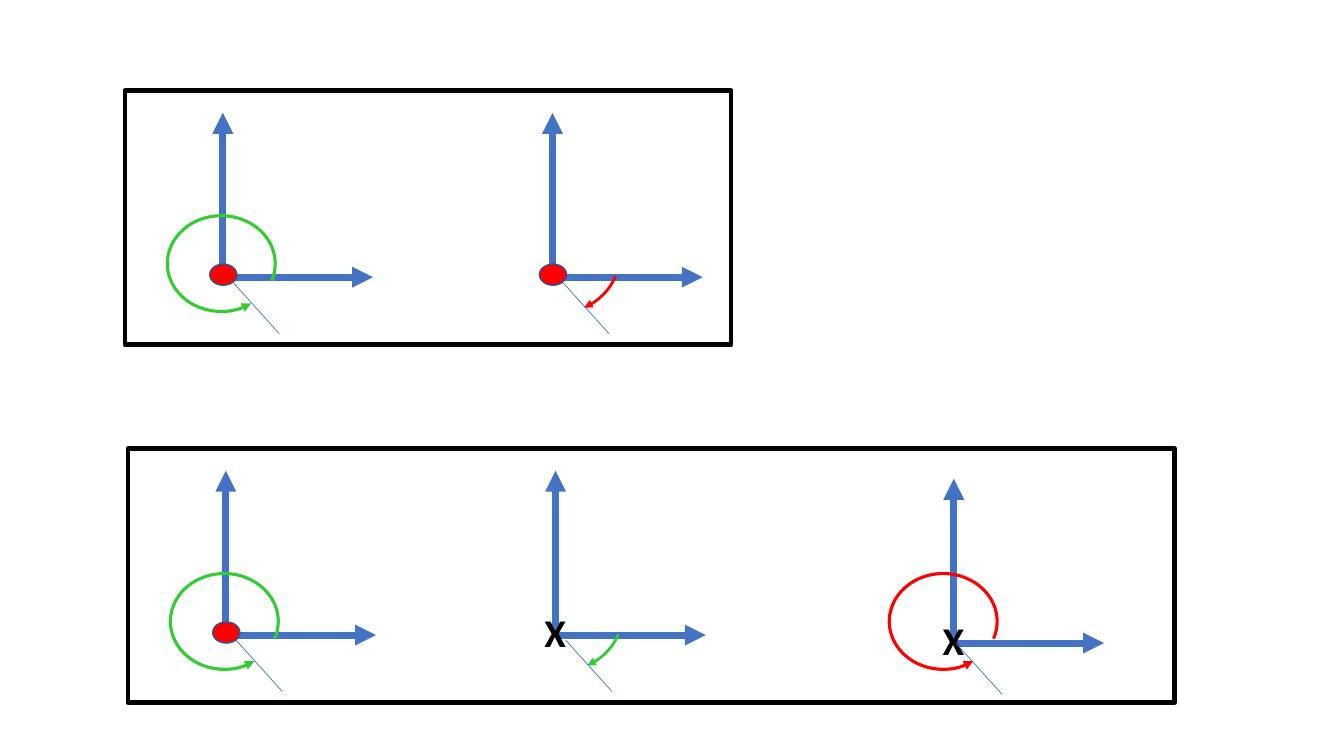
from lxml.etree import SubElement
from pptx import Presentation
from pptx.dml.color import RGBColor
from pptx.enum.shapes import MSO_CONNECTOR as CONNECTOR, MSO_SHAPE as SHAPE
from pptx.enum.text import MSO_AUTO_SIZE as AUTO_SIZE
from pptx.oxml.ns import qn
from pptx.util import Inches, Pt

BLUE, GREEN, RED, BLACK = "4472C4", "33CC33", "FF0000", "000000"
AXIS_UP, AXIS_RIGHT = 1.63, 1.49


def color(hex_code):
    return RGBColor.from_string(hex_code)


def set_line(part, hex_code, width, arrow=None):
    part.line.color.rgb = color(hex_code)
    part.line.width = Pt(width)
    if arrow:
        SubElement(part.line._get_or_add_ln(), qn(f"a:{arrow}"), type="triangle")


def add_line(shapes, x, y, dx, dy, width, arrow=None):
    line = shapes.add_connector(CONNECTOR.STRAIGHT, Inches(x), Inches(y),
                                Inches(x + dx), Inches(y + dy))
    set_line(line, BLUE, width, arrow)
    SubElement(line._element.spPr, qn("a:effectLst"))


def add_outline(shapes, kind, x, y, width, height, hex_code, weight, arrow=None, fill=None):
    outline = shapes.add_shape(kind, Inches(x), Inches(y), Inches(width), Inches(height))
    outline.shadow.inherit = False
    if fill:
        outline.fill.solid()
        outline.fill.fore_color.rgb = color(fill)
    else:
        outline.fill.background()
    set_line(outline, hex_code, weight, arrow)
    return outline


def add_axes(shapes, x, y):
    axes = shapes.add_group_shape().shapes
    add_line(axes, x, y, 0, -AXIS_UP, 5, "tailEnd")
    add_line(axes, x, y, AXIS_RIGHT, 0, 5, "tailEnd")


def add_dot(shapes, x, y):
    add_outline(shapes, SHAPE.OVAL, x - 0.13, y - 0.13, 0.27, 0.21, "325491", 1, fill=RED)


def add_cross(shapes, x, y):
    cross = shapes.add_textbox(Inches(x - 0.21), Inches(y - 0.31), Inches(0.42), Inches(0.57))
    frame = cross.text_frame
    frame.word_wrap = False
    frame.auto_size = AUTO_SIZE.SHAPE_TO_FIT_TEXT
    frame.text = "X"
    font = frame.paragraphs[0].runs[0].font
    font.name, font.size, font.bold = "Calibri", Pt(28), True
    font.color.rgb = color(BLACK)


def add_arc(shapes, x, y, hex_code, weight, start, end):
    """Draw an arc between two angles in degrees, with its arrowhead at the start."""
    arc = add_outline(shapes, SHAPE.ARC, x, y, 1.07, 0.95, hex_code, weight, "headEnd")
    arc.adjustments[0], arc.adjustments[1] = start * 0.6, end * 0.6
    return arc


def add_long_turn(shapes, x, y, hex_code):
    add_arc(shapes, x, y, hex_code, 2.25, 53.02, 18.88)


def add_short_turn(shapes, x, y, hex_code):
    turn = add_arc(shapes, x, y, hex_code, 2, 77.07, 130.51)
    turn.rotation = 146.4
    turn._element.spPr.xfrm.set("flipV", "1")


def add_diagram(shapes, x, y, add_origin, add_turn, turn_offset, turn_color, ray_offset=(0.1, 0.05)):
    """Draw axes, origin mark, turn arrow and ray around the origin x, y."""
    add_axes(shapes, x, y)
    add_origin(shapes, x, y)
    add_turn(shapes, x + turn_offset[0], y + turn_offset[1], turn_color)
    add_line(shapes, x + ray_offset[0], y + ray_offset[1], 0.46, 0.51, 0.5)


def add_panel(shapes, left, top, width, diagrams):
    """Draw a framed row of diagrams, placed from the panel's top left corner."""
    for x, y, *details in diagrams:
        add_diagram(shapes, left + x, top + y, *details)
    add_outline(shapes, SHAPE.RECTANGLE, left, top, width, 2.52, BLACK, 3.5)


def main():
    deck = Presentation()
    deck.slide_width, deck.slide_height = Inches(13.33), Inches(7.5)
    shapes = deck.slides.add_slide(deck.slide_layouts[6]).shapes

    long_offset, short_offset = (-0.55, -0.61), (-0.39, -0.62)
    green_long = (0.97, 1.85, add_dot, add_long_turn, long_offset, GREEN)

    # Upper panel: two dotted origins
    add_panel(shapes.add_group_shape().shapes, 1.24, 0.9, 6.01, [
        green_long,
        (4.24, 1.85, add_dot, add_short_turn, short_offset, RED),
    ])
    # Lower panel: one dotted and two crossed origins
    add_panel(shapes, 1.27, 4.45, 10.38, [
        green_long,
        (4.24, 1.85, add_cross, add_short_turn, short_offset, GREEN),
        (8.19, 1.93, add_cross, add_long_turn, (-0.64, -0.69), RED, (0.02, 0)),
    ])
    deck.save("out.pptx")


if __name__ == "__main__":
    main()
